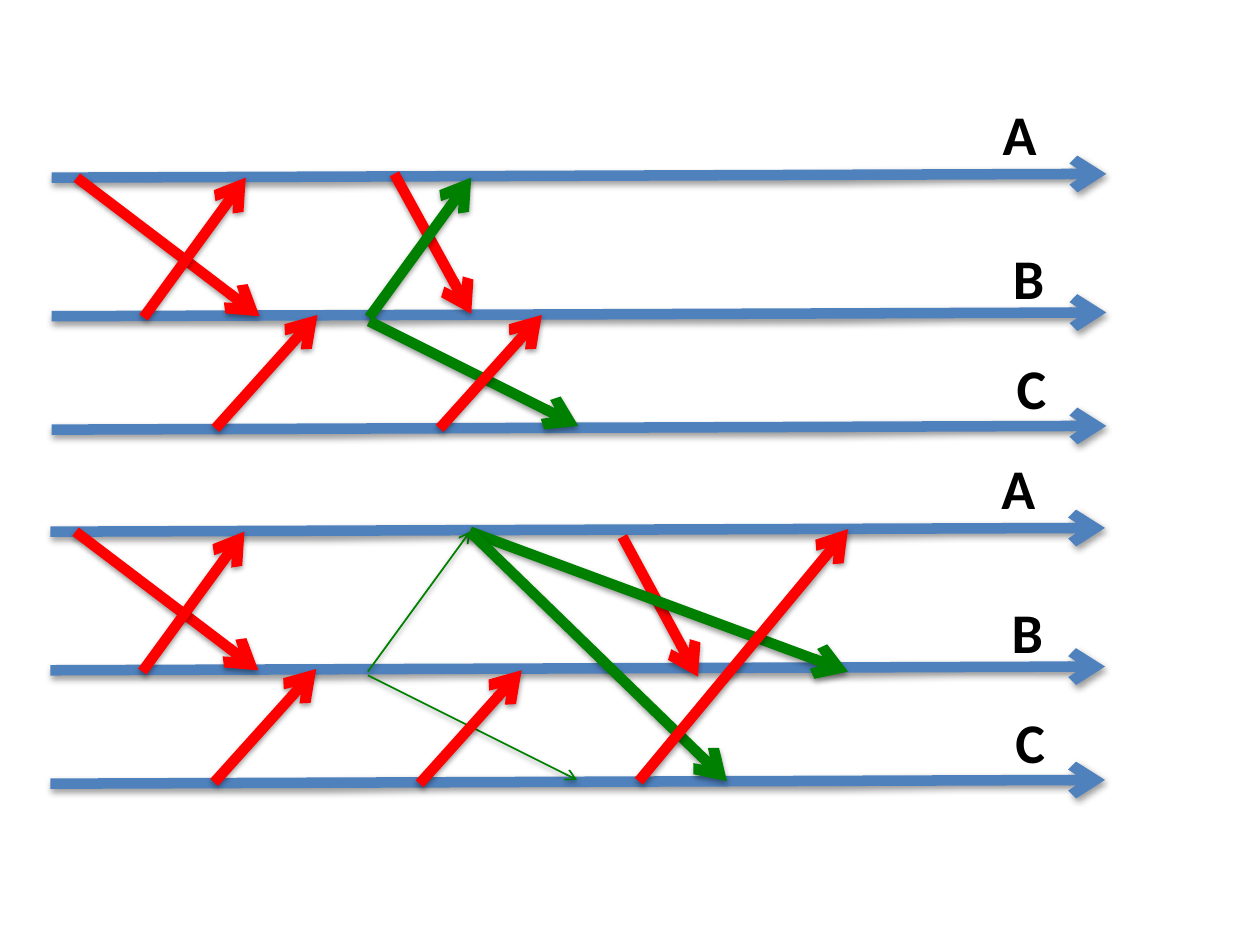
import pptx
import pptx.util
import pptx.dml.color
import pptx.enum.shapes
import pptx.enum.text
import pptx.oxml
import pptx.oxml.ns
from dataclasses import dataclass
from pptx.util import Inches


@dataclass(frozen=True)
class Theme:
    font: str = "Calibri"
    label_size: int = 32
    thick: int = 6
    thin: int = 1
    text: str = "000000"
    axis: str = "4F81BD"
    message: str = "FF0000"
    broadcast: str = "008000"


SHADOW = (
    f'<a:effectLst {pptx.oxml.ns.nsdecls("a")}>'
    '<a:outerShdw blurRad="40000" dist="20000" dir="5400000" rotWithShape="0">'
    '<a:srgbClr val="000000"><a:alpha val="38000"/></a:srgbClr>'
    '</a:outerShdw></a:effectLst>'
)
ARROWHEAD = f'<a:tailEnd {pptx.oxml.ns.nsdecls("a")} type="arrow"/>'


class Diagram:
    """Draws on one slide; positions are relative to a movable panel origin."""

    def __init__(self, slide, theme):
        self.slide = slide
        self.theme = theme
        self.origin = (0, 0)

    def place(self, x, y):
        return Inches(self.origin[0] + x), Inches(self.origin[1] + y)

    def arrow(self, start, end, color, width):
        connector = self.slide.shapes.add_connector(
            pptx.enum.shapes.MSO_CONNECTOR.STRAIGHT,
            *self.place(*start), *self.place(*end))
        connector.line.color.rgb = pptx.dml.color.RGBColor.from_string(color)
        connector.line.width = pptx.util.Pt(width)
        connector.line._get_or_add_ln().append(pptx.oxml.parse_xml(ARROWHEAD))
        connector._element.spPr.append(pptx.oxml.parse_xml(SHADOW))

    def label(self, text, x, y, width):
        box = self.slide.shapes.add_textbox(
            *self.place(x, y), Inches(width), Inches(0.64))
        frame = box.text_frame
        frame.text = text
        frame.word_wrap = False
        frame.auto_size = pptx.enum.text.MSO_AUTO_SIZE.SHAPE_TO_FIT_TEXT
        font = frame.paragraphs[0].runs[0].font
        font.name = self.theme.font
        font.size = pptx.util.Pt(self.theme.label_size)
        font.bold = True
        font.color.rgb = pptx.dml.color.RGBColor.from_string(self.theme.text)

    def process(self, name, y, label_x, label_y, label_width):
        self.arrow((0.41, y), (8.78, y - 0.03), self.theme.axis, self.theme.thick)
        self.label(name, label_x, label_y, label_width)

    def panel(self, origin, before, broadcast_width, after):
        self.origin = origin
        theme = self.theme
        for process in PROCESSES:
            self.process(*process)
        for start, end in SHARED_MESSAGES + before:
            self.arrow(start, end, theme.message, theme.thick)
        for start, end in BROADCAST_FROM_B:
            self.arrow(start, end, theme.broadcast, broadcast_width)
        for start, end, color in after:
            self.arrow(start, end, color, theme.thick)


# Name, axis height, then left, top and width of the label
PROCESSES = [
    ("A", 1.41, 7.86, 0.74, 0.47),
    ("B", 2.51, 7.94, 1.88, 0.45),
    ("C", 3.41, 7.97, 2.76, 0.44),
]
SHARED_MESSAGES = [
    ((0.61, 1.41), (2.06, 2.51)),
    ((1.14, 2.52), (1.95, 1.41)),
    ((1.71, 3.4), (2.52, 2.5)),
]
BROADCAST_FROM_B = [
    ((2.93, 2.52), (3.74, 1.41)),
    ((2.93, 2.55), (4.59, 3.38)),
]


def main():
    theme = Theme()
    deck = pptx.Presentation()
    deck.slide_width, deck.slide_height = Inches(10), Inches(7.5)
    page = deck.slides.add_slide(deck.slide_layouts[6])
    diagram = Diagram(page, theme)

    # Upper panel: B broadcasts to A and C
    diagram.panel(
        (0, 0),
        before=[((3.13, 1.38), (3.74, 2.49))],
        broadcast_width=theme.thick,
        after=[((3.49, 3.4), (4.3, 2.5), theme.message)])

    # Lower panel: A broadcasts after hearing from B
    diagram.panel(
        (-0.01, 2.81),
        before=[((4.95, 1.45), (5.55, 2.56))],
        broadcast_width=theme.thin,
        after=[
            ((3.34, 3.41), (4.15, 2.51), theme.message),
            ((3.74, 1.41), (6.74, 2.52), theme.broadcast),
            ((3.74, 1.41), (5.78, 3.39), theme.broadcast),
            ((5.08, 3.39), (6.74, 1.39), theme.message),
        ])

    deck.save("out.pptx")


if __name__ == "__main__":
    main()
